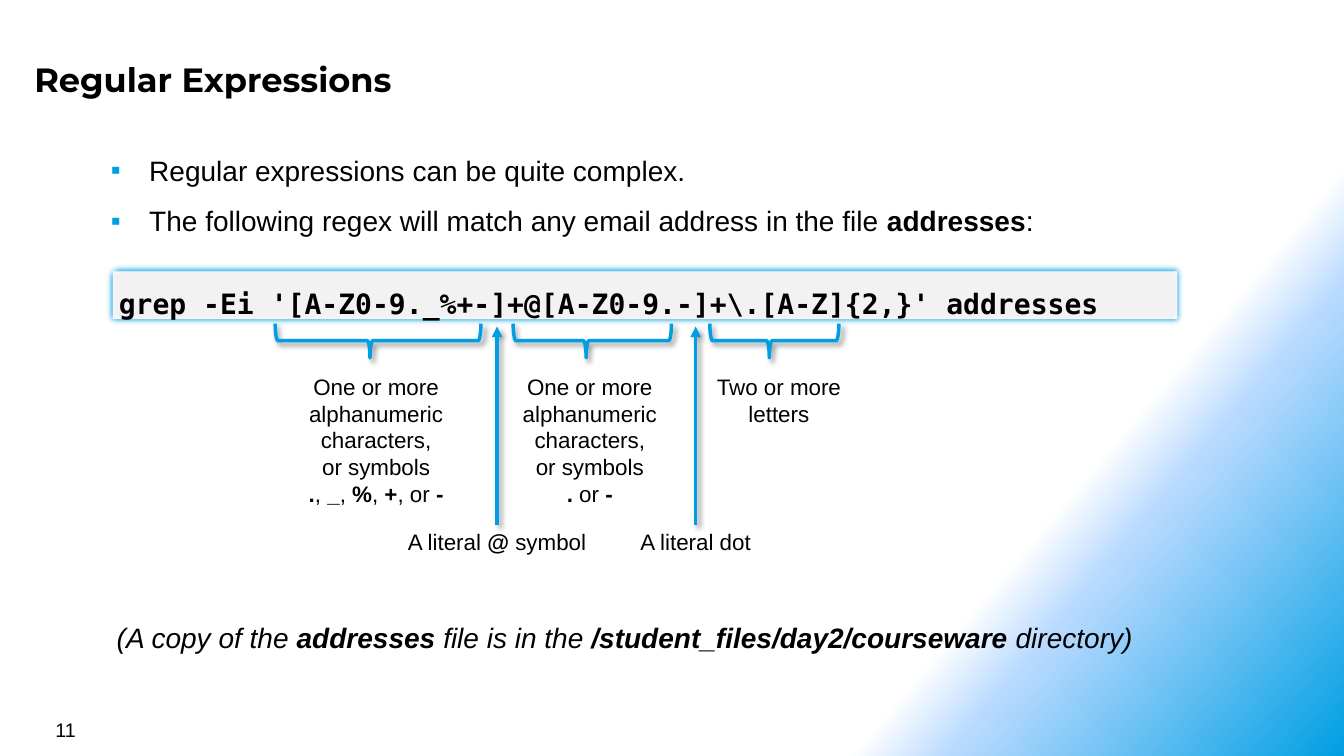
from pptx import Presentation
from pptx import util as u
from pptx.dml import color
from pptx.enum import shapes, text
from pptx.oxml import ns, parse_xml

BLUE, BLACK, PALE = "009FE3", "000000", "F2F2F2"
SHADOW = ('<a:outerShdw blurRad="50800" dist="38100" dir="2700000" algn="tl" rotWithShape="0">'
          '<a:srgbClr val="000000"><a:alpha val="40000"/></a:srgbClr></a:outerShdw>')
SOFT_EDGE = '<a:softEdge rad="63500"/>'


def rgb(value):
    """Turn a hex string into a colour."""
    return color.RGBColor.from_string(value)


def xml(tag, content="", attributes=""):
    """Build one drawing element."""
    return parse_xml(f'<a:{tag} {ns.nsdecls("a")} {attributes}>{content}</a:{tag}>')


def inches(box):
    """Convert a box given in inches to lengths."""
    return [u.Inches(value) for value in box]


def apply(target, formats):
    """Set each named attribute on the target."""
    for name, value in formats.items():
        setattr(target, name, value)


def add_spans(para, words, **formats):
    """Fill a paragraph; asterisks switch bold on and off, newlines break lines."""
    look = {"size": u.Pt(20), "name": "Arial", "bold": False, **formats}
    for index, part in enumerate(words.split("*")):
        for row, line in enumerate(part.split("\n")):
            if row:
                para.add_line_break()
            if line:
                span = para.add_run()
                span.text = line
                apply(span.font, {**look, "bold": look["bold"] or index % 2 == 1})
                span.font.color.rgb = rgb(BLACK)


def place(shape, box):
    """Move a placeholder into the given box."""
    apply(shape, dict(zip(("left", "top", "width", "height"), inches(box))))


def add_text(page, box, words, align=text.PP_ALIGN.LEFT, anchor=text.MSO_ANCHOR.TOP, **formats):
    """Add a wrapping text box with one paragraph."""
    frame = page.shapes.add_textbox(*inches(box)).text_frame
    apply(frame, {"word_wrap": True, "vertical_anchor": anchor})
    frame.paragraphs[0].alignment = align
    add_spans(frame.paragraphs[0], words, **formats)


def add_effect(shape, effect):
    """Give a shape its own effect list."""
    shape.element.spPr.append(xml("effectLst", effect))


def paint_background(page):
    """Fill the page with the diagonal gradient."""
    fill = page.background.fill
    fill.gradient()
    fill.gradient_angle = 320
    stops = ((0, "FFFFFF", 100), (75, "FFFFFF", 100), (80, "B9DAFF", 50), (100, BLUE, 100))
    content = "".join(
        f'<a:gs pos="{spot * 1000}"><a:srgbClr val="{value}"><a:alpha val="{alpha * 1000}"/></a:srgbClr></a:gs>'
        for spot, value, alpha in stops)
    old = page.element.find(".//" + ns.qn("a:gsLst"))
    old.getparent().replace(old, xml("gsLst", content))


def add_title(page, box, words):
    """Write the title in its placeholder."""
    title = page.shapes.title
    place(title, box)
    frame = title.text_frame
    apply(frame, {side: u.Inches(0.08) for side in
                  ("margin_left", "margin_right", "margin_top", "margin_bottom")})
    apply(frame, {"word_wrap": True, "vertical_anchor": text.MSO_ANCHOR.MIDDLE})
    frame.paragraphs[0].alignment = text.PP_ALIGN.LEFT
    add_spans(frame.paragraphs[0], words, size=u.Pt(24), name="Montserrat", bold=True)


def add_bullets(page, box, items):
    """Write the bullet list in the body placeholder."""
    body = page.placeholders[1]
    place(body, box)
    frame = body.text_frame
    apply(frame, {"word_wrap": True, "vertical_anchor": text.MSO_ANCHOR.TOP,
                  "auto_size": text.MSO_AUTO_SIZE.NONE})
    for index, words in enumerate(items):
        para = frame.add_paragraph() if index else frame.paragraphs[0]
        apply(para, {"space_before": u.Pt(0), "space_after": u.Pt(12)})
        properties = para._p.get_or_add_pPr()
        apply_indent = {"marL": u.Inches(0.38), "indent": -u.Inches(0.38)}
        for name, value in apply_indent.items():
            properties.set(name, str(int(value)))
        properties.append(xml("buClr", f'<a:srgbClr val="{BLUE}"/>'))
        properties.append(xml("buFont", attributes='typeface="Arial"'))
        properties.append(xml("buChar", attributes='char="▪"'))
        add_spans(para, words)


def add_command(page, box, words):
    """Add the soft-edged panel with the command."""
    panel = page.shapes.add_shape(shapes.MSO_SHAPE.RECTANGLE, *inches(box))
    panel.fill.solid()
    panel.fill.fore_color.rgb = rgb(PALE)
    panel.line.color.rgb = rgb(BLUE)
    panel.line.width = u.Pt(6)
    add_effect(panel, SOFT_EDGE)
    frame = panel.text_frame
    apply(frame, {"word_wrap": True, "vertical_anchor": text.MSO_ANCHOR.MIDDLE})
    apply(frame.paragraphs[0], {"alignment": text.PP_ALIGN.LEFT, "line_spacing": 1.5})
    add_spans(frame.paragraphs[0], words, name="DejaVu Sans Mono", bold=True)


def add_brace(page, box, label_box, words):
    """Add a brace opening upwards over the given box, with its label."""
    left, top, width, height = box
    turned = (left + (width - height) / 2, top + (height - width) / 2, height, width)
    brace = page.shapes.add_shape(shapes.MSO_SHAPE.LEFT_BRACE, *inches(turned))
    brace.rotation = 270
    brace.adjustments[0], brace.adjustments[1] = 0.083, 0.461
    brace.fill.background()
    brace.line.color.rgb = rgb(BLUE)
    brace.line.width = u.Pt(2.5)
    add_effect(brace, SHADOW)
    add_text(page, label_box, words, text.PP_ALIGN.CENTER, size=u.Pt(16))


def add_pointer(page, center, label_box, words):
    """Add an upward arrow with its label below."""
    ends = inches((center, 5.21, center, 3.24))
    arrow = page.shapes.add_connector(shapes.MSO_CONNECTOR.STRAIGHT, *ends)
    arrow.line.color.rgb = rgb(BLUE)
    arrow.line.width = u.Pt(2.5)
    arrow.line._get_or_add_ln().append(xml("tailEnd", attributes='type="triangle"'))
    add_effect(arrow, SHADOW)
    add_text(page, label_box, words, text.PP_ALIGN.CENTER, size=u.Pt(16))


def add_diagram(page, left, top):
    """Explain the parts of the command below its panel."""
    characters = "One or more alphanumeric characters,\nor symbols\n"
    braces = (
        (2.73, 2.04, (2.74, 1.98, 1.45), characters + "*.*, *_*, *%*, *+*, or *-*"),
        (5.09, 1.57, (4.88, 1.94, 1.45), characters + "*.* or *-*"),
        (7.04, 1.28, (6.82, 1.81, 0.64), "Two or more letters"),
    )
    for start, width, (label_left, label_width, label_height), words in braces:
        add_brace(page, (left + start - 2.73, top, width, 0.34),
                  (left + label_left - 2.73, top + 0.44, label_width, label_height), words)
    for center, label_left, words in ((4.93, 3.91, "A literal *@* symbol"),
                                      (6.9, 5.88, "A literal dot")):
        add_pointer(page, left + center - 2.73,
                    (left + label_left - 2.73, top + 1.98, 2.04, 0.37), words)


def build_page(deck):
    """Compose the regular expressions slide."""
    page = deck.slides.add_slide(deck.slide_layouts[1])
    paint_background(page)
    add_bullets(page, (1, 1.47, 11.33, 1.05), (
        "Regular expressions can be quite complex.",
        "The following regex will match any email address in the file *addresses*:"))
    add_title(page, (0.26, 0.51, 12.26, 0.55), "Regular Expressions")
    add_text(page, (0.45, 7.07, 3.11, 0.33), "11", anchor=text.MSO_ANCHOR.MIDDLE, size=u.Pt(14))
    add_command(page, (1.08, 2.65, 10.63, 0.55),
                r"grep -Ei '[A-Z0-9._%+-]+@[A-Z0-9.-]+\.[A-Z]{2,}' addresses")
    add_diagram(page, 2.73, 3.21)
    add_text(page, (1.06, 6.11, 11.33, 0.55),
             "(A copy of the *addresses* file is in the */student_files/day2/courseware* directory)",
             italic=True)


def main():
    """Create and save the deck."""
    deck = Presentation()
    apply(deck, {"slide_width": u.Inches(13.33), "slide_height": u.Inches(7.5)})
    build_page(deck)
    deck.save("out.pptx")


if __name__ == "__main__":
    main()
